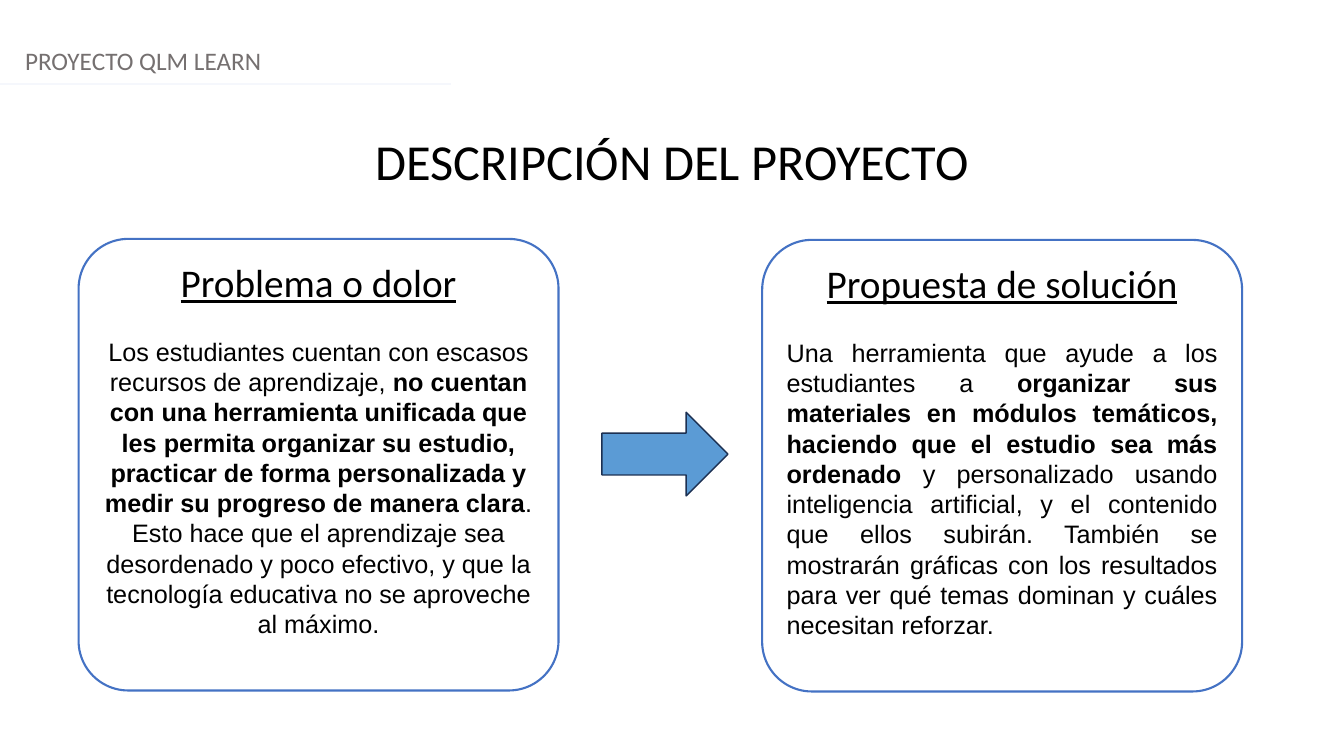
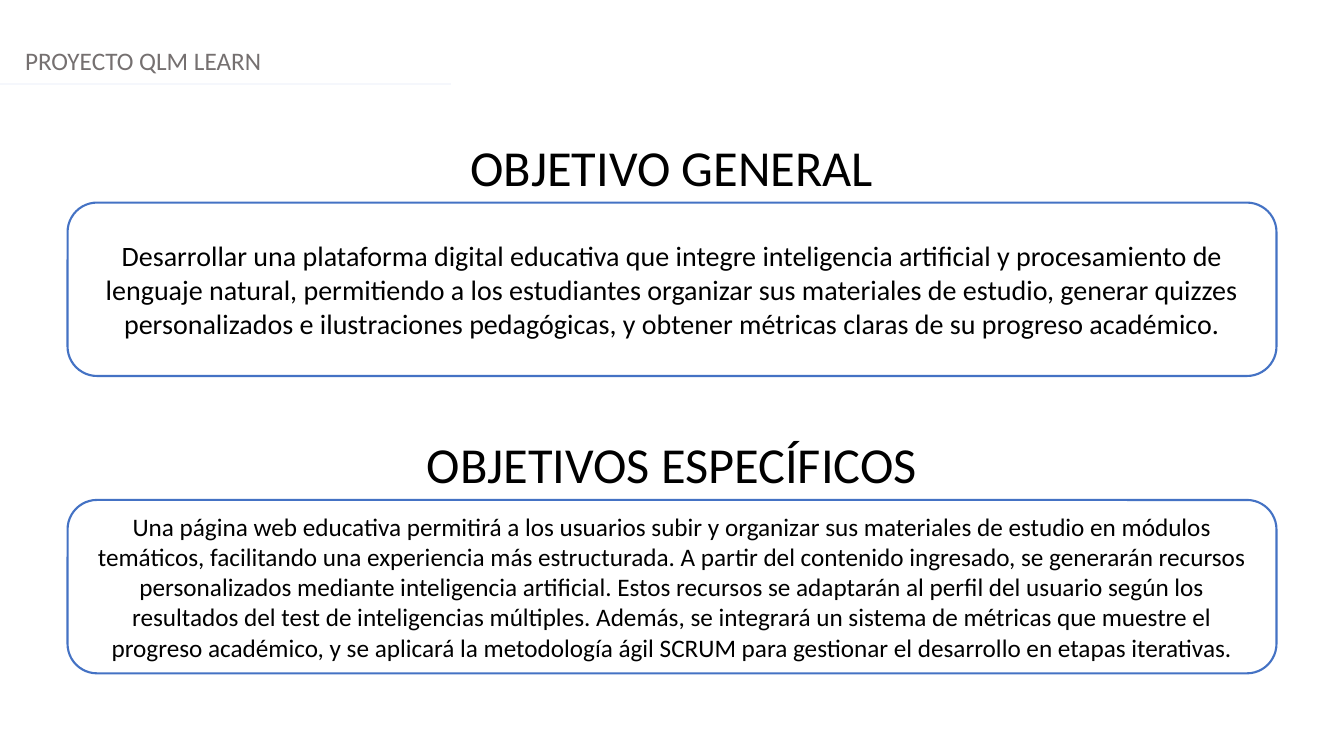
from pptx import Presentation
from pptx import util as u
from pptx.dml import color
from pptx.enum import shapes, text
from pptx.oxml import xmlchemy as xml

WIDE, HIGH = 13.33, 7.5
INK, GREY, PALE = "000000", "757070", "F5F7FC"
EDGE, WHITE = "4472C4", "FFFFFF"
BLUE, NAVY = "5B9BD5", "1C3052"
HEAD, BODY = "Calibri", "Arial"
MID, LEFT, FULL = text.PP_ALIGN.CENTER, text.PP_ALIGN.LEFT, text.PP_ALIGN.JUSTIFY
TOP, CORE = text.MSO_ANCHOR.TOP, text.MSO_ANCHOR.MIDDLE


def tint(code):
    return color.RGBColor.from_string(code)


def inch(*box):
    return [u.Inches(n) for n in box]


def write(para, parts, size, font=HEAD, hue=INK, align=MID, under=False):
    para.alignment = align
    for words, bold in parts:
        run = para.add_run()
        run.text = words
        run.font.name = font
        run.font.size = u.Pt(size)
        run.font.bold = bold
        run.font.underline = under
        run.font.color.rgb = tint(hue)


def label(slide, box, words, size, hue, align):
    frame = slide.shapes.add_textbox(*inch(*box)).text_frame
    frame.word_wrap = True
    write(frame.paragraphs[0], [(words, False)], size, hue=hue, align=align)


def title(slide, top, words):
    label(slide, (0, top, WIDE, 0.71), words, 36, INK, MID)


def header(slide):
    label(slide, (0.15, 0.4, WIDE - 0.3, 0.4), "PROYECTO QLM LEARN", 18, GREY, LEFT)
    rule = slide.shapes.add_connector(
        shapes.MSO_CONNECTOR.STRAIGHT, *inch(0, 0.83, 4.47, 0.83))
    rule.line.color.rgb = tint(PALE)
    rule.line.width = u.Pt(1.25)
    rule._element.spPr.append(xml.OxmlElement("a:effectLst"))


def form(slide, kind, box, fill, edge, width):
    item = slide.shapes.add_shape(kind, *inch(*box))
    item.shadow.inherit = False
    item.fill.solid()
    item.fill.fore_color.rgb = tint(fill)
    item.line.color.rgb = tint(edge)
    item.line.width = u.Pt(width)
    return item


def panel(slide, box, bend, anchor):
    item = form(slide, shapes.MSO_SHAPE.ROUNDED_RECTANGLE, box, WHITE, EDGE, 1.5)
    item.adjustments[0] = bend
    frame = item.text_frame
    frame.word_wrap = True
    frame.vertical_anchor = anchor
    return frame


def card(slide, box, name, parts, align):
    frame = panel(slide, box, 0.11, TOP)
    write(frame.paragraphs[0], [(name, False)], 28, under=True)
    para = frame.add_paragraph()
    para.space_before = u.Pt(22)
    write(para, parts, 18, BODY, align=align)


def goal(slide, top, name, words, size):
    title(slide, top, name)
    frame = panel(slide, (0.67, top + 0.71, WIDE - 1.34, 1.72), 0.17, CORE)
    write(frame.paragraphs[0], [(words, False)], size)


PAIN = [
    ("Los estudiantes cuentan con escasos recursos de aprendizaje, ", False),
    ("no cuentan con una herramienta unificada que les permita organizar su "
     "estudio, practicar de forma personalizada y medir su progreso de manera "
     "clara", True),
    (". Esto hace que el aprendizaje sea desordenado y poco efectivo, y que la "
     "tecnología educativa no se aproveche al máximo.", False),
]
PLAN = [
    ("Una herramienta que ayude a los estudiantes a ", False),
    ("organizar sus materiales en módulos temáticos, haciendo que el estudio "
     "sea más ordenado", True),
    (" y personalizado usando inteligencia artificial, y el contenido que ellos "
     "subirán. También se mostrarán gráficas con los resultados para ver qué "
     "temas dominan y cuáles necesitan reforzar.", False),
]
GOALS = [
    ("OBJETIVO GENERAL",
     "Desarrollar una plataforma digital educativa que integre inteligencia "
     "artificial y procesamiento de lenguaje natural, permitiendo a los "
     "estudiantes organizar sus materiales de estudio, generar quizzes "
     "personalizados e ilustraciones pedagógicas, y obtener métricas claras de "
     "su progreso académico.", 20),
    ("OBJETIVOS ESPECÍFICOS",
     "Una página web educativa permitirá a los usuarios subir y organizar sus "
     "materiales de estudio en módulos temáticos, facilitando una experiencia "
     "más estructurada. A partir del contenido ingresado, se generarán recursos "
     "personalizados mediante inteligencia artificial. Estos recursos se "
     "adaptarán al perfil del usuario según los resultados del test de "
     "inteligencias múltiples. Además, se integrará un sistema de métricas que "
     "muestre el progreso académico, y se aplicará la metodología ágil SCRUM "
     "para gestionar el desarrollo en etapas iterativas.", 18),
]


def project(slide):
    header(slide)
    title(slide, 1.24, "DESCRIPCIÓN DEL PROYECTO")
    card(slide, (0.78, 2.37, 4.76, 4.48), "Problema o dolor", PAIN, MID)
    card(slide, (7.56, 2.38, 4.76, 4.48), "Propuesta de solución", PLAN, FULL)
    form(slide, shapes.MSO_SHAPE.RIGHT_ARROW, (5.97, 4.09, 1.25, 0.83), BLUE, NAVY, 1)


def aims(slide):
    header(slide)
    for row, (name, words, size) in enumerate(GOALS):
        goal(slide, 1.3 + 2.95 * row, name, words, size)


def main():
    deck = Presentation()
    deck.slide_width, deck.slide_height = inch(WIDE, HIGH)
    for build in (project, aims):
        build(deck.slides.add_slide(deck.slide_layouts[6]))
    deck.save("out.pptx")


if __name__ == "__main__":
    main()
